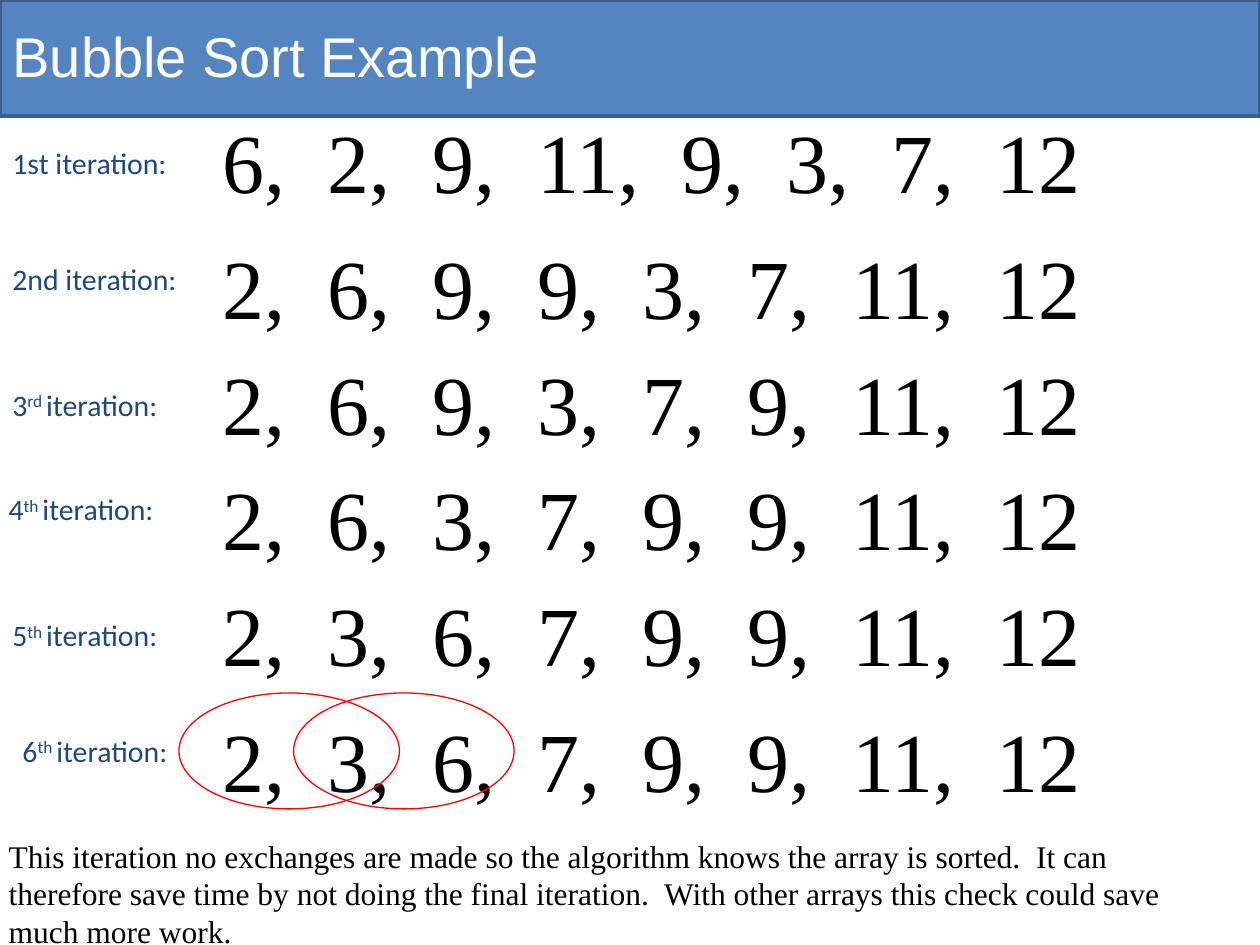
import pptx
import pptx.util
import pptx.dml.color
import pptx.enum.shapes
import pptx.enum.text

Inches = pptx.util.Inches
SHAPE = pptx.enum.shapes.MSO_SHAPE
ANCHOR = pptx.enum.text.MSO_ANCHOR
ALIGN = pptx.enum.text.PP_ALIGN

COLORS = {
    "bar": "5485C0",
    "edge": "3A5F8C",
    "label": "1F497D",
    "ring": "FF0000",
    "text": "000000",
    "title": "FFFFFF",
}

ROWS = [
    (0.75, [6, 2, 9, 11, 9, 3, 7, 12], ["1st iteration:"], (0, 1, 2)),
    (1.75, [2, 6, 9, 9, 3, 7, 11, 12], ["2nd iteration:"], (0, 1.92, 1.83)),
    (2.67, [2, 6, 9, 3, 7, 9, 11, 12], ["3", "rd ", "iteration:"], (0, 2.92, 1.83)),
    (3.58, [2, 6, 3, 7, 9, 9, 11, 12], ["4", "th ", "iteration:"], (-0.03, 3.75, 1.83)),
    (4.5, [2, 3, 6, 7, 9, 9, 11, 12], ["5", "th ", "iteration:"], (0, 4.75, 1.83)),
    (5.5, [2, 3, 6, 7, 9, 9, 11, 12], ["6", "th ", "iteration:"], (0.08, 5.67, 1.83)),
]

NOTE = (
    "This iteration no exchanges are made so the algorithm knows the array is sorted.  "
    "It can therefore save time by not doing the final iteration.  "
    "With other arrays this check could save much more work."
)


def color(name):
    return pptx.dml.color.RGBColor.from_string(COLORS[name])


def style(run, face, size, tint):
    run.font.name = face
    run.font.size = pptx.util.Pt(size)
    run.font.color.rgb = color(tint)


def add_text(slide, area, parts, face, size, tint):
    frame = slide.shapes.add_textbox(*map(Inches, area)).text_frame
    frame.word_wrap = True
    line = frame.paragraphs[0]
    for part in parts:
        run = line.add_run()
        run.text = part
        style(run, face, size, tint)
    return frame


def add_serif(slide, area, text, size, top):
    frame = add_text(slide, area, [text], "Times New Roman", size, "text")
    frame.margin_top = Inches(top)
    frame.margin_bottom = 0


def add_label(slide, spot, parts):
    frame = add_text(slide, (*spot, 0.58), parts, "Calibri", 17, "label")
    frame.vertical_anchor = ANCHOR.MIDDLE
    for run in frame.paragraphs[0].runs[1:2]:
        run.font._element.set("baseline", "30000")


def add_shape(slide, kind, area, edge, width, fill=None):
    shape = slide.shapes.add_shape(kind, *map(Inches, area))
    shape.shadow.inherit = False
    if fill:
        shape.fill.solid()
        shape.fill.fore_color.rgb = color(fill)
    else:
        shape.fill.background()
    shape.line.color.rgb = color(edge)
    shape.line.width = pptx.util.Pt(width)
    return shape


def add_title(slide, text):
    title = slide.shapes.title
    title.left, title.top, title.width, title.height = map(Inches, (0, 0, 9.25, 0.88))
    frame = title.text_frame
    frame.text = text
    frame.vertical_anchor = ANCHOR.MIDDLE
    line = frame.paragraphs[0]
    line.alignment = ALIGN.LEFT
    style(line.runs[0], "Arial", 32, "title")
    bar = add_shape(slide, SHAPE.RECTANGLE, (0, 0, 10, 0.92), "edge", 2, "bar")
    title._element.addprevious(bar._element)


def main():
    deck = pptx.Presentation()
    deck.slide_width, deck.slide_height = Inches(10), Inches(7.5)
    slide = deck.slides.add_slide(deck.slide_layouts[5])
    add_title(slide, "Bubble Sort Example")
    for top, nums, parts, spot in ROWS:
        add_serif(slide, (1.67, top, 7.33, 0.9), ",  ".join(map(str, nums)), 48, 0.12)
        add_label(slide, spot, parts)
    for left in (1.42, 2.33):
        add_shape(slide, SHAPE.OVAL, (left, 5.5, 1.75, 0.92), "ring", 0.75)
    add_serif(slide, (-0.03, 6.56, 9.75, 1.01), NOTE, 18, 0.08)
    deck.save("out.pptx")


if __name__ == "__main__":
    main()
